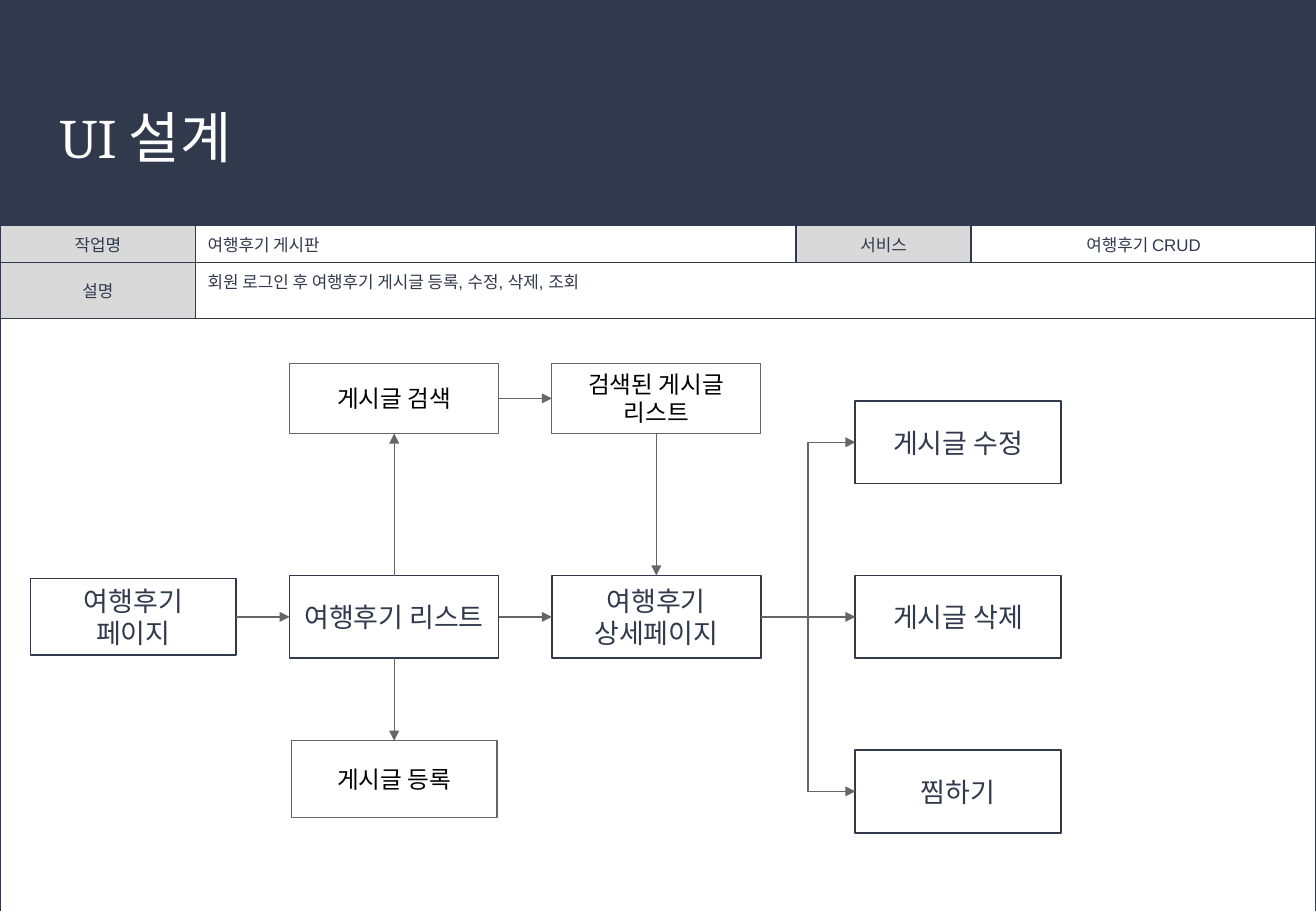
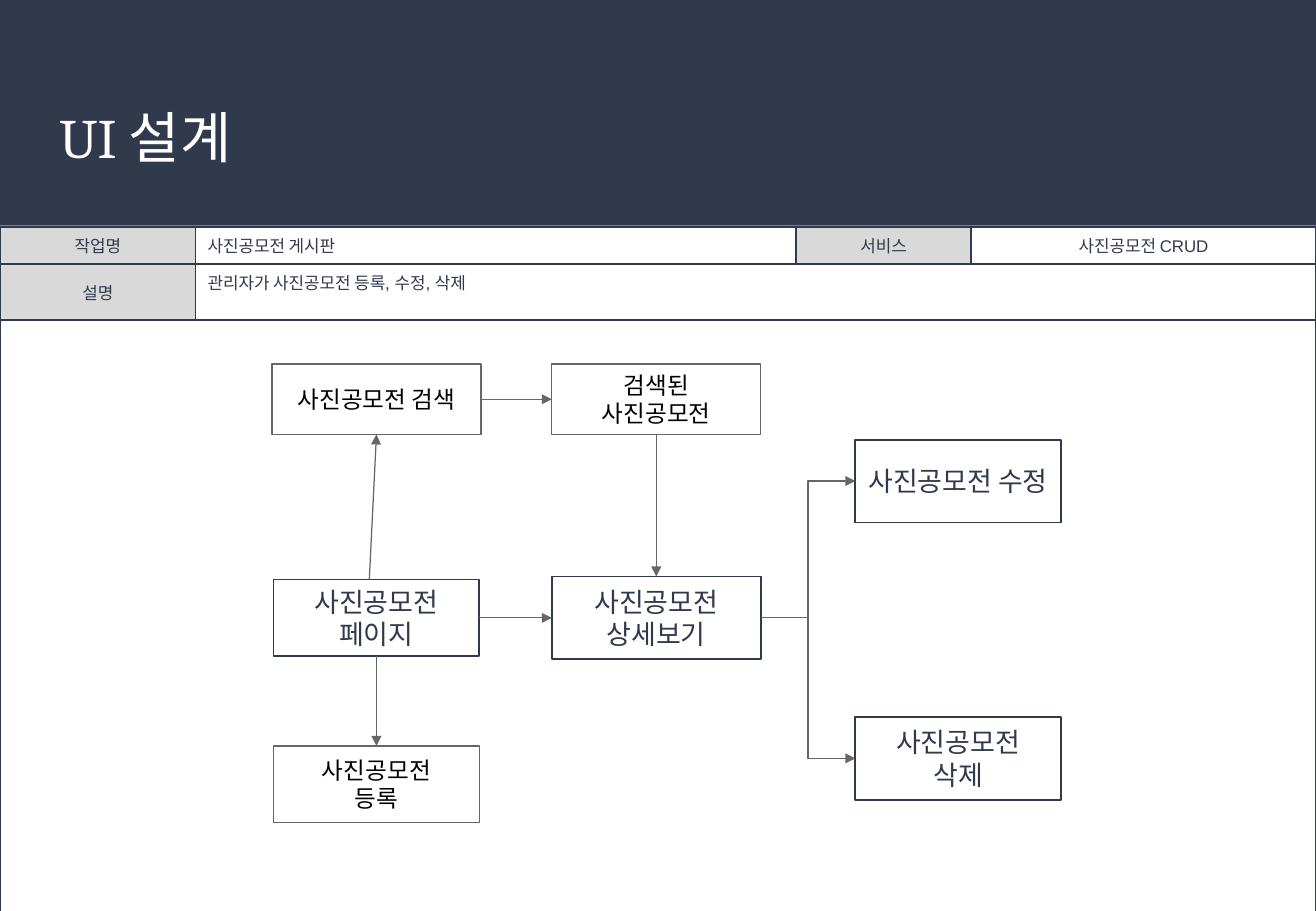
"""Build two UI design slides, each with a job table and a page flow."""
from lxml import etree
from pptx import Presentation
from pptx.dml.color import RGBColor
from pptx.enum.shapes import MSO_CONNECTOR, MSO_SHAPE
from pptx.enum.text import MSO_ANCHOR, PP_ALIGN
from pptx.oxml import parse_xml
from pptx.oxml.ns import nsdecls, qn
from pptx.util import Cm, Pt

RECT = MSO_SHAPE.RECTANGLE
LINE, ELBOW = MSO_CONNECTOR.STRAIGHT, MSO_CONNECTOR.ELBOW
TOP, MID = MSO_ANCHOR.TOP, MSO_ANCHOR.MIDDLE
LEFT, MIDDLE = PP_ALIGN.LEFT, PP_ALIGN.CENTER

HEX = {"navy": "31394D", "gray": "666666", "label": "D9D9D9",
       "white": "FFFFFF", "black": "000000"}
WIDE, HIGH, BAND = 27.51, 19.05, 4.72
COLS = [4.09, 12.55, 3.66, 7.21]
ROWS = [0.75, 1.17]
TITLE = "UI 설계"
SITES = {"top": 0, "left": 1, "bottom": 2, "right": 3}

FONTS = {
    "title": {"name": "Cambria", "size": Pt(33), "color": "white"},
    "cell": {"name": "Arial", "size": Pt(10), "color": "navy"},
    "main": {"name": "Calibri", "size": Pt(16), "color": "navy"},
    "side": {"name": "Arial", "size": Pt(14), "color": "black"},
}
KINDS = {
    "page": (4.3, 1.6, "main"),
    "step": (4.37, 1.73, "main"),
    "act": (4.3, 1.73, "main"),
    "find": (4.37, 1.47, "side"),
    "add": (4.3, 1.6, "side"),
}
EDGES = {"main": ("navy", 1), "side": ("gray", 0.75)}

SLIDES = [
    {
        "top": 4.72,
        "job": ["작업명", "여행후기 게시판", "서비스", "여행후기 CRUD"],
        "about": ["설명", "회원 로그인 후 여행후기 게시글 등록, 수정, 삭제, 조회"],
        "boxes": {
            "page": ("page", 2.79, 12.9, ["여행후기", "페이지"]),
            "list": ("step", 8.24, 12.9, ["여행후기 리스트"]),
            "view": ("step", 13.72, 12.9, ["여행후기", "상세페이지"]),
            "edit": ("act", 20.03, 9.25, ["게시글 수정"]),
            "drop": ("act", 20.03, 12.9, ["게시글 삭제"]),
            "like": ("act", 20.03, 16.55, ["찜하기"]),
            "find": ("find", 8.24, 8.33, ["게시글 검색"]),
            "found": ("find", 13.72, 8.33, ["검색된 게시글", "리스트"]),
            "add": ("add", 8.24, 16.29, ["게시글 등록"]),
        },
        "links": [
            ("page", "right", "list", "left", 0),
            ("list", "right", "view", "left", 0),
            ("view", "right", "edit", "left", 0),
            ("view", "right", "drop", "left", 0),
            ("view", "right", "like", "left", 0),
            ("list", "top", "find", "bottom", 0),
            ("list", "bottom", "add", "top", 0),
            ("find", "right", "found", "left", 0),
            ("found", "bottom", "view", "top", 0),
        ],
    },
    {
        "top": 4.75,
        "job": ["작업명", "사진공모전 게시판", "서비스", "사진공모전 CRUD"],
        "about": ["설명", "관리자가 사진공모전 등록, 수정, 삭제"],
        "boxes": {
            "page": ("page", 7.87, 12.92, ["사진공모전", "페이지"]),
            "view": ("step", 13.72, 12.92, ["사진공모전", "상세보기"]),
            "edit": ("act", 20.03, 10.06, ["사진공모전 수정"]),
            "drop": ("act", 20.03, 15.86, ["사진공모전", "삭제"]),
            "find": ("find", 7.87, 8.35, ["사진공모전 검색"]),
            "found": ("find", 13.72, 8.35, ["검색된", "사진공모전"]),
            "add": ("add", 7.87, 16.4, ["사진공모전", "등록"]),
        },
        "links": [
            ("page", "right", "view", "left", 0),
            ("view", "right", "edit", "left", 0),
            ("view", "right", "drop", "left", 0),
            ("page", "top", "find", "bottom", -0.15),
            ("page", "bottom", "add", "top", 0),
            ("find", "right", "found", "left", 0),
            ("found", "bottom", "view", "top", 0),
        ],
    },
]


def rgb(name):
    return RGBColor.from_string(HEX[name])


def put(obj, **vals):
    for key, val in vals.items():
        setattr(obj, key, val)


def pad(obj, x, y):
    put(obj, margin_left=Cm(x), margin_right=Cm(x),
        margin_top=Cm(y), margin_bottom=Cm(y))


def write(frame, lines, style, align):
    for num, line in enumerate(lines):
        para = frame.add_paragraph() if num else frame.paragraphs[0]
        para.alignment = align
        run = para.add_run()
        run.text = line
        for key, val in FONTS[style].items():
            if key == "color":
                run.font.color.rgb = rgb(val)
            else:
                setattr(run.font, key, val)


def add_rect(slide, x, y, wide, high, fill=None, edge=None):
    shape = slide.shapes.add_shape(RECT, Cm(x), Cm(y), Cm(wide), Cm(high))
    shape.shadow.inherit = False
    if fill:
        shape.fill.solid()
        shape.fill.fore_color.rgb = rgb(fill)
    else:
        shape.fill.background()
    if edge:
        shape.line.color.rgb = rgb(edge[0])
        shape.line.width = Pt(edge[1])
    else:
        shape.line.fill.background()
    return shape


def add_title(slide):
    title = slide.shapes.title
    put(title, left=Cm(0.94), top=Cm(1.85), width=Cm(25.63), height=Cm(2.31))
    pad(title.text_frame, 0.3, 0.3)
    title.text_frame.vertical_anchor = TOP
    write(title.text_frame, [TITLE], "title", LEFT)


def border(cell, sides):
    props = cell._tc.get_or_add_tcPr()
    for num, side in enumerate(sides):
        props.insert(num, parse_xml(
            f'<a:ln{side} {nsdecls("a")} w="12700"><a:solidFill>'
            f'<a:srgbClr val="{HEX["navy"]}"/></a:solidFill></a:ln{side}>'))


def add_grid(slide, page):
    rows = ROWS + [HIGH - page["top"] - sum(ROWS)]
    grid = slide.shapes.add_table(
        len(rows), len(COLS), 0, Cm(page["top"]), Cm(WIDE), Cm(sum(rows))).table
    put(grid, first_row=False, horz_banding=False)
    for col, wide in zip(grid.columns, COLS):
        col.width = Cm(wide)
    for row, high in zip(grid.rows, rows):
        row.height = Cm(high)
    grid.cell(1, 1).merge(grid.cell(1, 3))
    grid.cell(2, 0).merge(grid.cell(2, 3))
    texts = [page["job"], page["about"], []]
    for r, words in enumerate(texts):
        for c in range(len(COLS)):
            cell = grid.cell(r, c)
            label = c < len(words) and c % 2 == 0
            if label:
                cell.fill.solid()
                cell.fill.fore_color.rgb = rgb("label")
            else:
                cell.fill.background()
            pad(cell, 0.25, 0.13)
            cell.vertical_anchor = TOP if (r, c) == (1, 1) else MID
            if c < len(words):
                write(cell.text_frame, [words[c]], "cell",
                      LEFT if c == 1 else MIDDLE)
            border(cell, "LRTB" if words else "LRT")


def add_box(slide, kind, x, y, lines):
    wide, high, style = KINDS[kind]
    box = add_rect(slide, x - wide / 2, y - high / 2, wide, high,
                   "white" if style == "side" else None, EDGES[style])
    pad(box.text_frame, 0.25, 0.13)
    put(box.text_frame, word_wrap=False, vertical_anchor=MID)
    write(box.text_frame, lines, style, MIDDLE)
    return box


def add_link(slide, start, exit, end, entry, lean):
    level = abs(start.top + start.height / 2 - end.top - end.height / 2) < Cm(0.1)
    kind = ELBOW if exit == "right" and not level else LINE
    link = slide.shapes.add_connector(kind, 0, 0, 0, 0)
    link.begin_connect(start, SITES[exit])
    link.end_connect(end, SITES[entry])
    if lean:
        link.begin_x += Cm(lean)
        glue = link._element.find(".//" + qn("a:stCxn"))
        glue.getparent().remove(glue)
    link.line.color.rgb = rgb("gray")
    link.line.width = Pt(0.75)
    etree.SubElement(link.line._get_or_add_ln(), qn("a:tailEnd"), type="triangle")
    etree.SubElement(link._element.spPr, qn("a:effectLst"))


def main():
    deck = Presentation()
    put(deck, slide_width=Cm(WIDE), slide_height=Cm(HIGH))
    layout = deck.slide_layouts[5]
    for num, page in enumerate(SLIDES):
        slide = deck.slides.add_slide(layout)
        if num == 0:
            band = add_rect(slide, 0, 0, WIDE, BAND, "navy")
            layout.shapes._spTree.insert(2, band._element)
        add_title(slide)
        add_grid(slide, page)
        boxes = {key: add_box(slide, *box) for key, box in page["boxes"].items()}
        for start, exit, end, entry, lean in page["links"]:
            add_link(slide, boxes[start], exit, boxes[end], entry, lean)
    deck.save("out.pptx")


if __name__ == "__main__":
    main()
